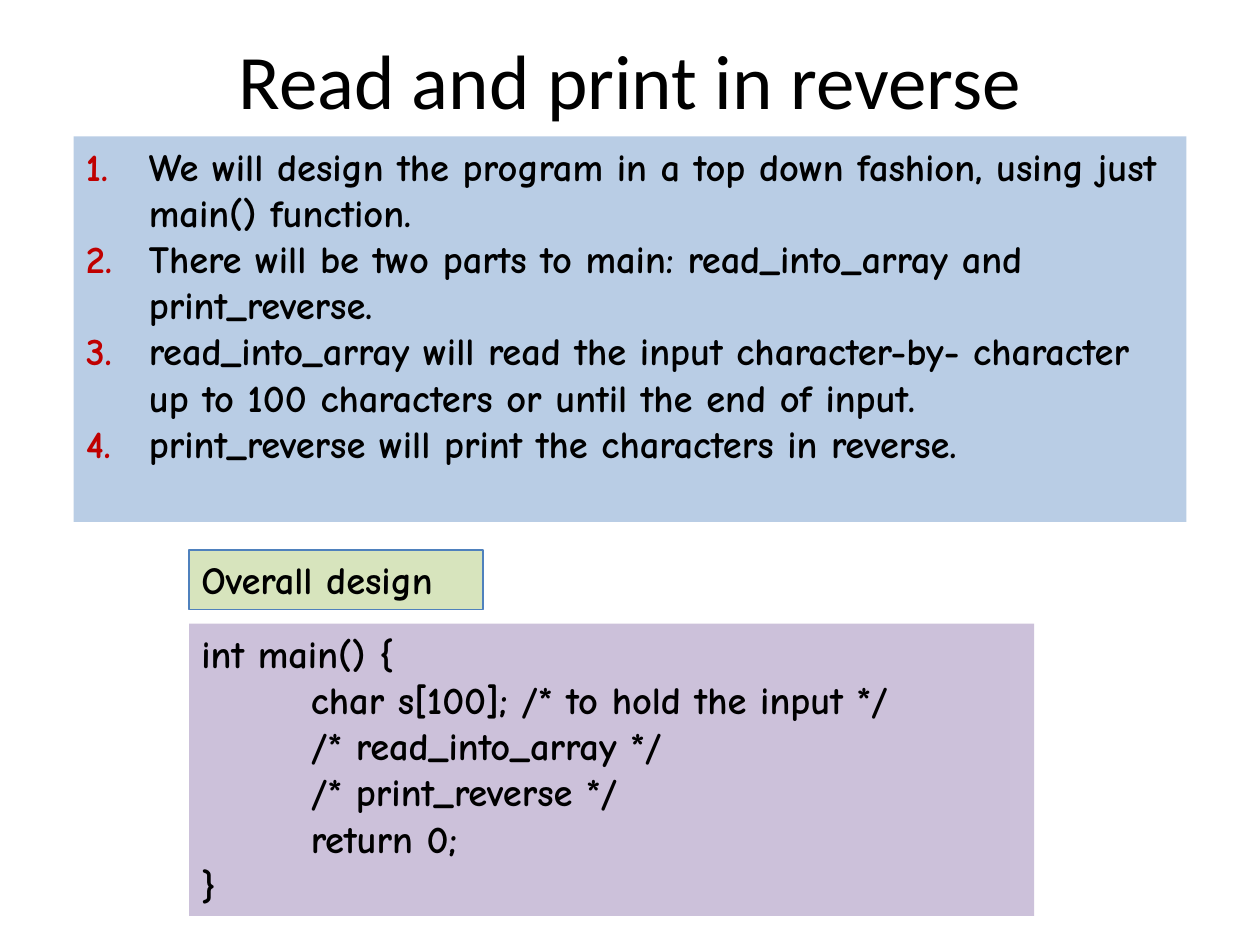
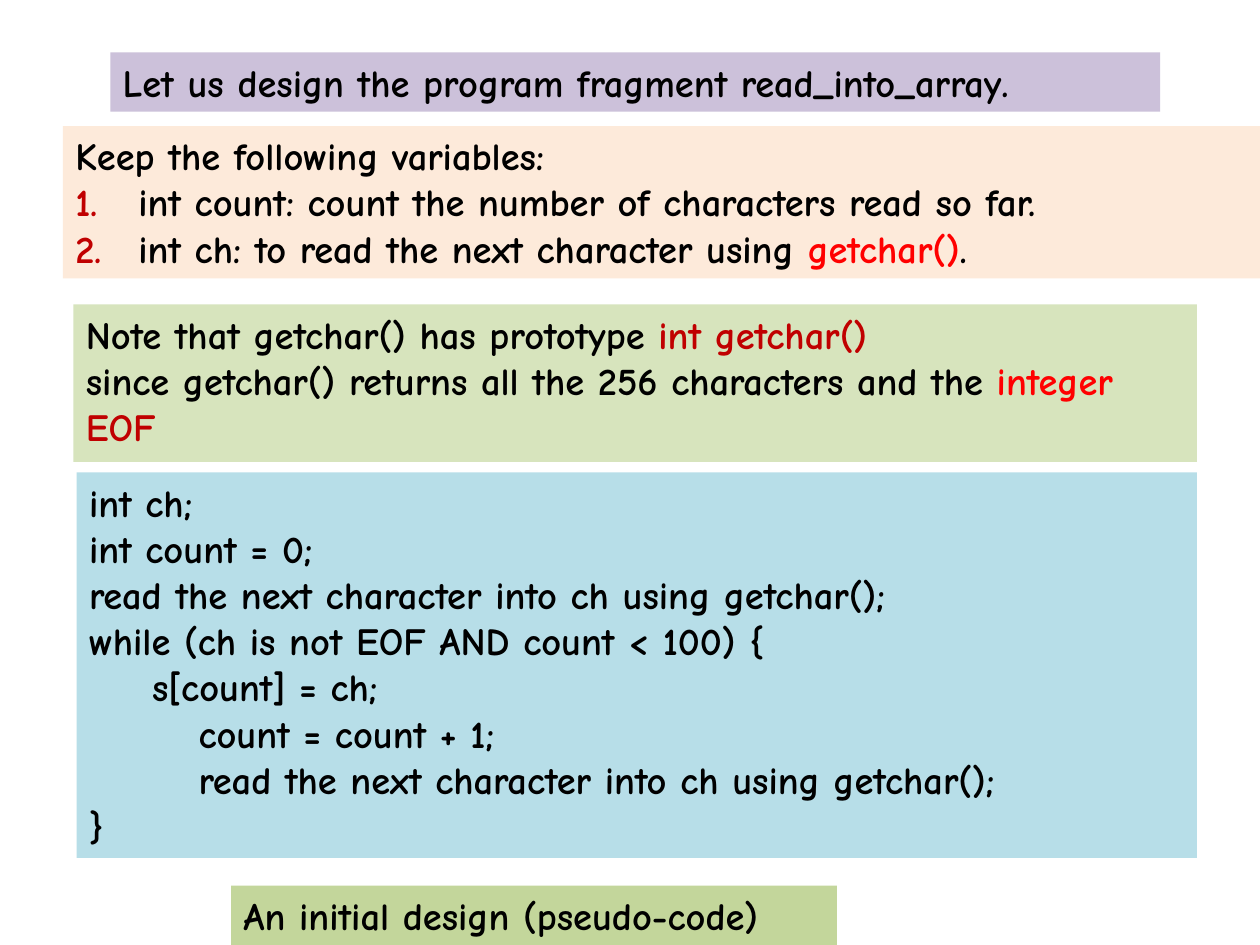
from lxml import etree
from pptx import Presentation
from pptx import util as u
from pptx.dml.color import RGBColor
from pptx.enum import shapes, text
from pptx.oxml import ns

BLACK, RED, DARK_RED = "000000", "FF0000", "C00000"
BLUE, LILAC, PEACH, TEAL = "B9CDE5", "CCC1DA", "FDEADA", "B7DEE8"
GREEN, DEEP_GREEN, OUTLINE = "D7E4BD", "C3D69B", "4F81BD"


def color(hex_value):
    return RGBColor.from_string(hex_value)


def write(paragraph, wording, font="Comic Neue", size=22, bold=True, ink=BLACK):
    run = paragraph.add_run()
    run.text = wording
    run.font.name = font
    run.font.size = u.Pt(size)
    run.font.bold = bold
    run.font.color.rgb = color(ink)


def number(paragraph):
    props = paragraph._p.get_or_add_pPr()
    props.set("marL", str(u.Inches(0.5)))
    props.set("indent", str(-u.Inches(0.5)))
    tint = etree.SubElement(props, ns.qn("a:buClr"))
    etree.SubElement(tint, ns.qn("a:srgbClr"), val=DARK_RED)
    etree.SubElement(props, ns.qn("a:buAutoNum"), type="arabicPeriod")


class Deck:
    COLUMNS, ROWS = 120, 90
    LINE_ROWS, PADDING_ROWS = 4.44, 1.2

    def __init__(self):
        self.prs = Presentation()
        self.prs.slide_width = u.Inches(10)
        self.prs.slide_height = u.Inches(7.5)
        self.slide = None

    def new_slide(self):
        self.slide = self.prs.slides.add_slide(self.prs.slide_layouts[6])

    def place(self, column, row, columns, rows):
        across = self.prs.slide_width / self.COLUMNS
        down = self.prs.slide_height / self.ROWS
        return [round(n) for n in (column * across, row * down, columns * across, rows * down)]

    def title(self, wording):
        frame = self.slide.shapes.add_textbox(*self.place(6, 0, 108, 15)).text_frame
        frame.word_wrap = True
        frame.vertical_anchor = text.MSO_ANCHOR.MIDDLE
        heading = frame.paragraphs[0]
        heading.alignment = text.PP_ALIGN.CENTER
        write(heading, wording, font="Calibri", size=44, bold=False)

    def panel(self, column, row, columns, fill, lines, rows=None, height=None,
              numbered_from=None, outline=None):
        height = height or (rows or len(lines)) * self.LINE_ROWS + self.PADDING_ROWS
        box = self.slide.shapes.add_shape(
            shapes.MSO_SHAPE.RECTANGLE, *self.place(column, row, columns, height))
        box.shadow.inherit = False
        box.fill.solid()
        box.fill.fore_color.rgb = color(fill)
        if outline:
            box.line.color.rgb = color(outline)
            box.line.width = u.Pt(0.75)
        else:
            box.line.fill.background()
        frame = box.text_frame
        frame.word_wrap = True
        frame.vertical_anchor = text.MSO_ANCHOR.TOP
        for index, line in enumerate(lines):
            paragraph = frame.paragraphs[0] if index == 0 else frame.add_paragraph()
            paragraph.alignment = text.PP_ALIGN.LEFT
            if numbered_from is not None and index >= numbered_from:
                number(paragraph)
            for wording, ink in [(line, BLACK)] if isinstance(line, str) else line:
                write(paragraph, wording, ink=ink)


def overall_design(deck):
    deck.new_slide()
    deck.title("Read and print in reverse")
    deck.panel(7, 13, 106, BLUE, [
        "We will design the program in a top down fashion, using just main() function.",
        "There will be two parts to main: read_into_array and print_reverse.",
        "read_into_array will read the input character-by- character "
        "up to 100 characters or until the end of input.",
        "print_reverse will print the characters in reverse.",
    ], rows=8, numbered_from=0)
    deck.panel(18, 59.4, 80.5, LILAC, [
        "int main() {",
        "        char s[100]; /* to hold the input */",
        "        /* read_into_array */",
        "        /* print_reverse */",
        "        return 0;",
        "}",
    ])
    deck.panel(18, 52.4, 28, GREEN, ["Overall design"], outline=OUTLINE)


def read_into_array(deck):
    deck.new_slide()
    deck.panel(10.5, 5, 100, LILAC, ["Let us design the program fragment read_into_array."])
    deck.panel(6, 12, 114, PEACH, [
        "Keep the following variables:",
        "int count: count the number of characters read so far.",
        [("int ch: to read the next character using ", BLACK), ("getchar()", RED), (".", BLACK)],
    ], numbered_from=1)
    deck.panel(7.3, 45, 106.7, TEAL, [
        "int ch;",
        "int count = 0;",
        "read the next character into ch using getchar();",
        "while (ch is not EOF AND count < 100) {",
        "\ts[count] = ch;",
        "        count = count + 1;",
        "        read the next character into ch using getchar();",
        "}",
    ])
    deck.panel(7, 29, 107, GREEN, [
        [("Note that getchar() has prototype ", BLACK), ("int getchar()", DARK_RED)],
        [("since getchar() returns all the 256 characters and the ", BLACK),
         ("integer ", RED), ("EOF", DARK_RED)],
    ], height=15)
    deck.panel(22, 84.36, 57.7, DEEP_GREEN, ["An initial design (pseudo-code)"])


def main():
    deck = Deck()
    overall_design(deck)
    read_into_array(deck)
    deck.prs.save("out.pptx")


if __name__ == "__main__":
    main()
